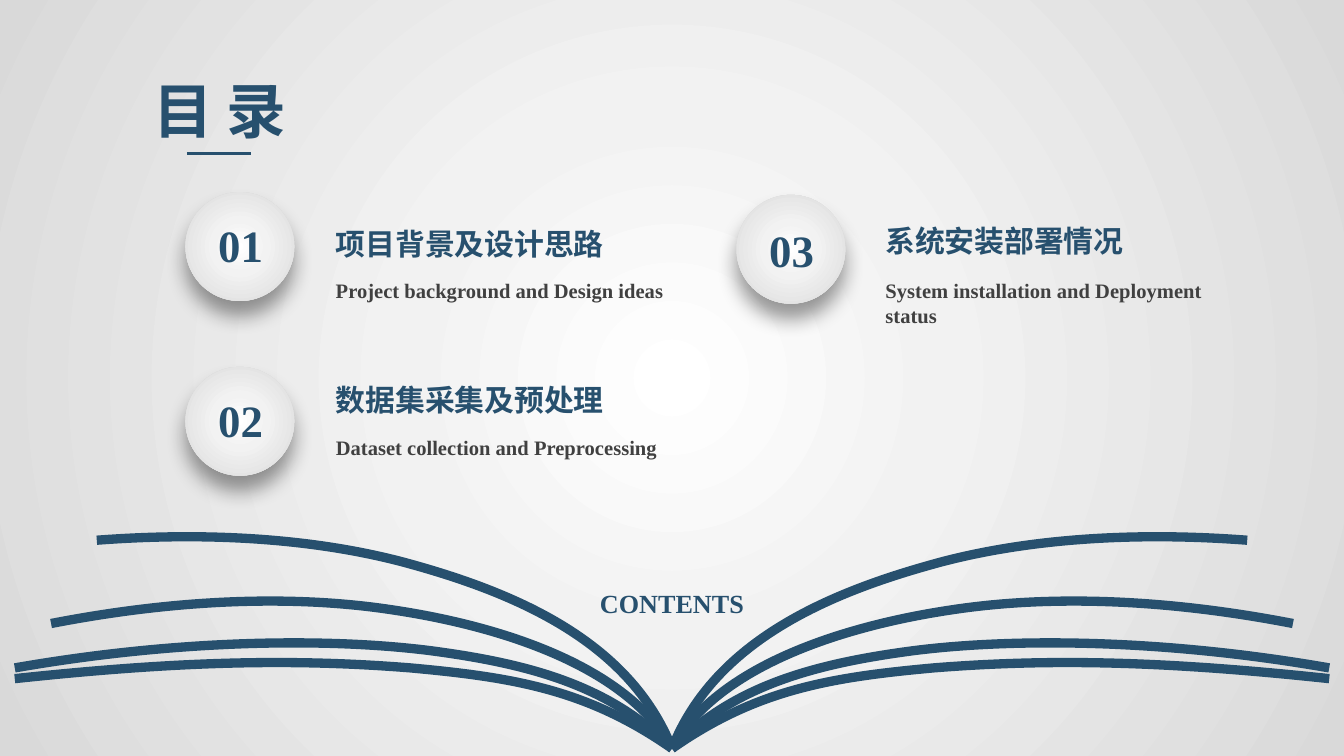
"""Build a contents slide with three numbered topics above an open book."""
from dataclasses import dataclass

from lxml.etree import SubElement
from pptx import Presentation
from pptx.dml.color import RGBColor
from pptx.enum.shapes import MSO_CONNECTOR, MSO_SHAPE
from pptx.enum.text import MSO_ANCHOR, PP_ALIGN
from pptx.oxml.ns import qn
from pptx.util import Inches, Pt

COLORS = {
    "navy": "27506E",
    "gray": "404040",
    "black": "000000",
    "center": "FFFFFF",
    "middle": "F2F2F2",
    "edge": "D9D9D9",
}
GRADIENT_STOPS = ((0, "center"), (35, "middle"), (100, "edge"))
CHINESE_FONT = "Noto Sans CJK SC"
LATIN_FONT = "Times New Roman"
SLIDE_WIDTH = 10
SLIDE_HEIGHT = SLIDE_WIDTH * 9 / 16
BALL_SIZE = 0.81
SPINE = (5, 5.57)


@dataclass(frozen=True)
class Topic:
    """A numbered topic with its positions in inches."""
    number: str
    heading: str
    subtitle: str
    ball_left: float
    text_left: float
    ball_top: float
    number_top: float
    heading_top: float
    subtitle_top: float
    heading_width: float
    subtitle_width: float
    subtitle_wraps: bool = False


TOPICS = (
    Topic("01", "项目背景及设计思路", "Project background and Design ideas",
          1.38, 2.4, 1.43, 1.57, 1.63, 2.02, 2.22, 2.66),
    Topic("02", "数据集采集及预处理", "Dataset collection and Preprocessing",
          1.38, 2.4, 2.73, 2.87, 2.79, 3.19, 2.22, 2.61),
    Topic("03", "系统安装部署情况", "System installation and Deployment status",
          5.48, 6.49, 1.45, 1.61, 1.61, 2.02, 2, 2.96, True),
)

LEFT_PAGES = (
    ((4.55, 5.11), (3.96, 4.94), (3.19, 4.84), (2.47, 4.75), (1.37, 4.75), (0.11, 4.97)),
    ((4.37, 5.13), (3.82, 5.04), (3.05, 4.97), (2.17, 4.9), (1.33, 4.92), (0.11, 5.05)),
    ((4.67, 4.96), (3.73, 4.66), (2.93, 4.54), (2.22, 4.43), (1.36, 4.45), (0.38, 4.64)),
    ((4.68, 4.76), (3.81, 4.4), (2.99, 4.18), (2.3, 4), (1.51, 3.96), (0.72, 4.02)),
)


def color(name: str) -> RGBColor:
    """Return a named colour."""
    return RGBColor.from_string(COLORS[name])


def add_color(parent, name: str, alpha: int = 100) -> None:
    """Append a colour element with an opacity in percent."""
    element = SubElement(parent, qn("a:srgbClr"), val=COLORS[name])
    if alpha < 100:
        SubElement(element, qn("a:alpha"), val=str(alpha * 1000))


def apply_radial_gradient(fill, owner) -> None:
    """Give a fill a gradient that runs outward from its centre."""
    fill.gradient()
    gradient = owner.find(".//" + qn("a:gradFill"))
    for child in list(gradient):
        gradient.remove(child)
    stops = SubElement(gradient, qn("a:gsLst"))
    for position, name in GRADIENT_STOPS:
        add_color(SubElement(stops, qn("a:gs"), pos=str(position * 1000)), name)
    circle = SubElement(gradient, qn("a:path"), {"path": "circle"})
    SubElement(circle, qn("a:fillToRect"), dict.fromkeys("ltrb", "50000"))


def write_text(shape, text: str, size: float, font: str, color_name: str,
               centered: bool = False, wrap: bool = False) -> None:
    """Fill a shape with one bold paragraph."""
    frame = shape.text_frame
    frame.text = text
    frame.word_wrap = wrap
    frame.vertical_anchor = MSO_ANCHOR.TOP
    paragraph = frame.paragraphs[0]
    paragraph.alignment = PP_ALIGN.CENTER if centered else PP_ALIGN.LEFT
    run = paragraph.runs[0]
    run.font.size = Pt(size)
    run.font.bold = True
    run.font.name = font
    run.font.color.rgb = color(color_name)
    SubElement(run.font._element, qn("a:ea"), typeface=font)


def add_text(shapes, box: tuple[float, float, float, float], *style, **options) -> None:
    """Add a text box placed in inches."""
    write_text(shapes.add_textbox(*map(Inches, box)), *style, **options)


def add_page(shapes, points: tuple) -> None:
    """Draw one curved page edge starting at the spine."""
    builder = shapes.build_freeform(*map(Inches, SPINE), scale=1.0)
    builder.add_line_segments([(Inches(x), Inches(y)) for x, y in points], close=False)
    page = builder.convert_to_shape()
    outline = page.element.find(".//" + qn("a:path"))
    segments = outline.findall(qn("a:lnTo"))
    for start in range(0, len(segments), 3):
        curve = SubElement(outline, qn("a:cubicBezTo"))
        for segment in segments[start:start + 3]:
            curve.append(segment[0])
            outline.remove(segment)
    page.fill.background()
    page.line.color.rgb = color("navy")
    page.line.width = Pt(5)
    page.shadow.inherit = False


def add_book(slide) -> None:
    """Draw the left pages and their mirror images as one group."""
    book = slide.shapes.add_group_shape()
    for points in LEFT_PAGES:
        add_page(book.shapes, points)
        add_page(book.shapes, tuple((SLIDE_WIDTH - x, y) for x, y in points))


def add_topic(slide, topic: Topic) -> None:
    """Draw a topic's numbered ball, heading and subtitle."""
    badge = slide.shapes.add_group_shape()
    ball = badge.shapes.add_shape(
        MSO_SHAPE.OVAL, *map(Inches, (topic.ball_left, topic.ball_top, BALL_SIZE, BALL_SIZE)))
    apply_radial_gradient(ball.fill, ball.element)
    ball.line.fill.background()
    ball.shadow.inherit = False
    effects = ball.element.spPr.find(qn("a:effectLst"))
    shadow = SubElement(effects, qn("a:outerShdw"), blurRad=str(Pt(11)), dist=str(Pt(8)),
                        dir="5400000", algn="t", rotWithShape="0")
    add_color(shadow, "black", 40)
    add_text(badge.shapes, (topic.ball_left + 0.14, topic.number_top, 0.54, 0.5),
             topic.number, 24, LATIN_FONT, "navy", centered=True)
    add_text(slide.shapes, (topic.text_left, topic.heading_top, topic.heading_width, 0.37),
             topic.heading, 16, CHINESE_FONT, "navy")
    add_text(slide.shapes, (topic.text_left, topic.subtitle_top, topic.subtitle_width, 0.29),
             topic.subtitle, 11, LATIN_FONT, "gray", wrap=topic.subtitle_wraps)


def add_title(slide) -> None:
    """Place the title and its underline."""
    title = slide.shapes.title
    title.left, title.top, title.width, title.height = map(Inches, (0.97, 0.5, 1.33, 0.64))
    write_text(title, "目 录", 32, CHINESE_FONT, "navy", centered=True)
    underline = slide.shapes.add_connector(
        MSO_CONNECTOR.STRAIGHT, *map(Inches, (1.39, 1.14, 1.87, 1.14)))
    underline.line.color.rgb = color("navy")
    underline.line.width = Pt(1.5)
    SubElement(underline.element.spPr, qn("a:effectLst"))


def main() -> None:
    """Build and save the presentation."""
    presentation = Presentation()
    presentation.slide_width = Inches(SLIDE_WIDTH)
    presentation.slide_height = Inches(SLIDE_HEIGHT)
    slide = presentation.slides.add_slide(presentation.slide_layouts[5])
    apply_radial_gradient(slide.background.fill, slide.element)
    add_book(slide)
    for topic in TOPICS:
        add_topic(slide, topic)
    add_title(slide)
    add_text(slide.shapes, (3.71, 4.32, 2.58, 0.34),
             "CONTENTS", 14, LATIN_FONT, "navy", centered=True, wrap=True)
    presentation.save("out.pptx")


if __name__ == "__main__":
    main()
